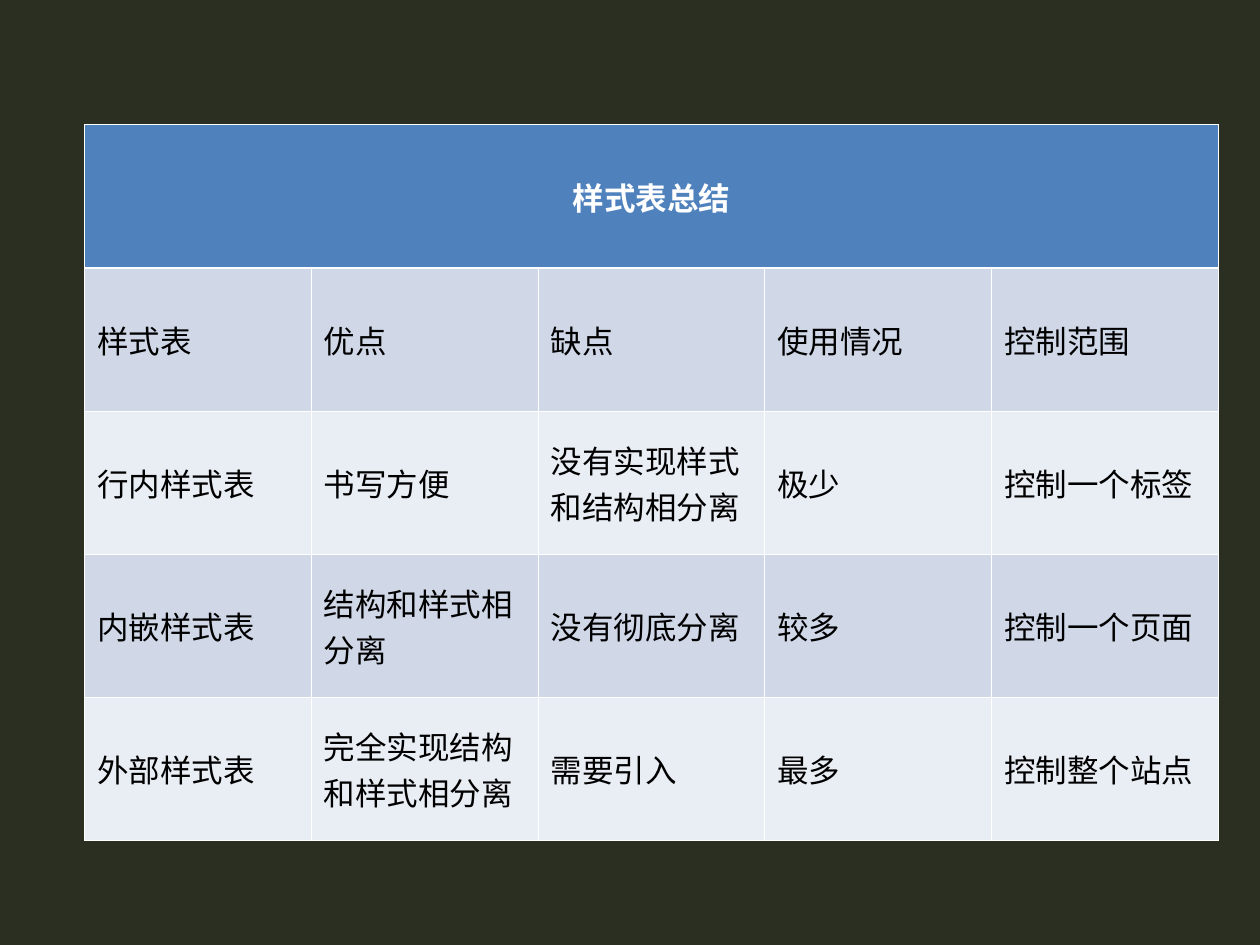
from typing import NamedTuple

from lxml.etree import SubElement
from pptx import Presentation
from pptx.dml.color import RGBColor
from pptx.enum.text import MSO_ANCHOR, PP_ALIGN
from pptx.oxml.ns import qn
from pptx.table import _Cell as Cell
from pptx.util import Inches, Pt

BACKGROUND, WHITE, BLACK = "2A2F21", "FFFFFF", "000000"
HEADER_FILL = "4F81BD"
BAND_FILLS = ("D0D8E8", "E9EDF4")
THIN, THICK = 0.45, 1.47
COLUMN_WIDTH, ROW_HEIGHT = 1.8, 1.136


class StyleRow(NamedTuple):
    name: str
    strength: str
    weakness: str
    usage: str
    scope: str


TITLE = "样式表总结"
ROWS = [
    StyleRow("样式表", "优点", "缺点", "使用情况", "控制范围"),
    StyleRow("行内样式表", "书写方便", "没有实现样式和结构相分离", "极少", "控制一个标签"),
    StyleRow("内嵌样式表", "结构和样式相分离", "没有彻底分离", "较多", "控制一个页面"),
    StyleRow("外部样式表", "完全实现结构和样式相分离", "需要引入", "最多", "控制整个站点"),
]


def set_color(target, color: str) -> None:
    """Fill a cell, line or background with one solid colour."""
    target.solid()
    target.fore_color.rgb = RGBColor.from_string(color)


def write_text(cell: Cell, text: str, *, color: str = BLACK, bold: bool = False,
               align: PP_ALIGN = PP_ALIGN.LEFT) -> None:
    cell.vertical_anchor = MSO_ANCHOR.MIDDLE
    paragraph = cell.text_frame.paragraphs[0]
    paragraph.alignment = align
    paragraph.space_before = Pt(4.5)
    run = paragraph.add_run()
    run.text = text
    run.font.name = "Calibri"
    run.font.size = Pt(18)
    run.font.bold = bold
    set_color(run.font.fill, color)


def paint_cell(cell: Cell, fill: str, top: float = THIN, bottom: float = THIN) -> None:
    """Draw the four white borders, then the fill, in schema order."""
    properties = cell._tc.get_or_add_tcPr()
    for side, width in (("L", THIN), ("R", THIN), ("T", top), ("B", bottom)):
        line = SubElement(properties, qn(f"a:ln{side}"), w=str(Pt(width)))
        solid = SubElement(line, qn("a:solidFill"))
        SubElement(solid, qn("a:srgbClr"), val=WHITE)
    set_color(cell.fill, fill)


def main() -> None:
    presentation = Presentation()
    presentation.slide_width, presentation.slide_height = Inches(10), Inches(7.5)
    slide = presentation.slides.add_slide(presentation.slide_layouts[6])
    set_color(slide.background.fill, BACKGROUND)

    # Table grid
    row_count, column_count = len(ROWS) + 1, len(StyleRow._fields)
    table = slide.shapes.add_table(
        row_count, column_count, Inches(0.67), Inches(0.99),
        Inches(COLUMN_WIDTH * column_count), Inches(ROW_HEIGHT * row_count)).table

    # Title row across all columns
    for column in range(column_count):
        paint_cell(table.cell(0, column), HEADER_FILL, bottom=THICK)
    title = table.cell(0, 0)
    title.merge(table.cell(0, column_count - 1))
    write_text(title, TITLE, color=WHITE, bold=True, align=PP_ALIGN.CENTER)

    # Banded body rows
    for index, style_row in enumerate(ROWS):
        for column, text in enumerate(style_row):
            cell = table.cell(index + 1, column)
            paint_cell(cell, BAND_FILLS[index % 2], top=THIN if index else THICK)
            write_text(cell, text)

    presentation.save("out.pptx")


if __name__ == "__main__":
    main()
